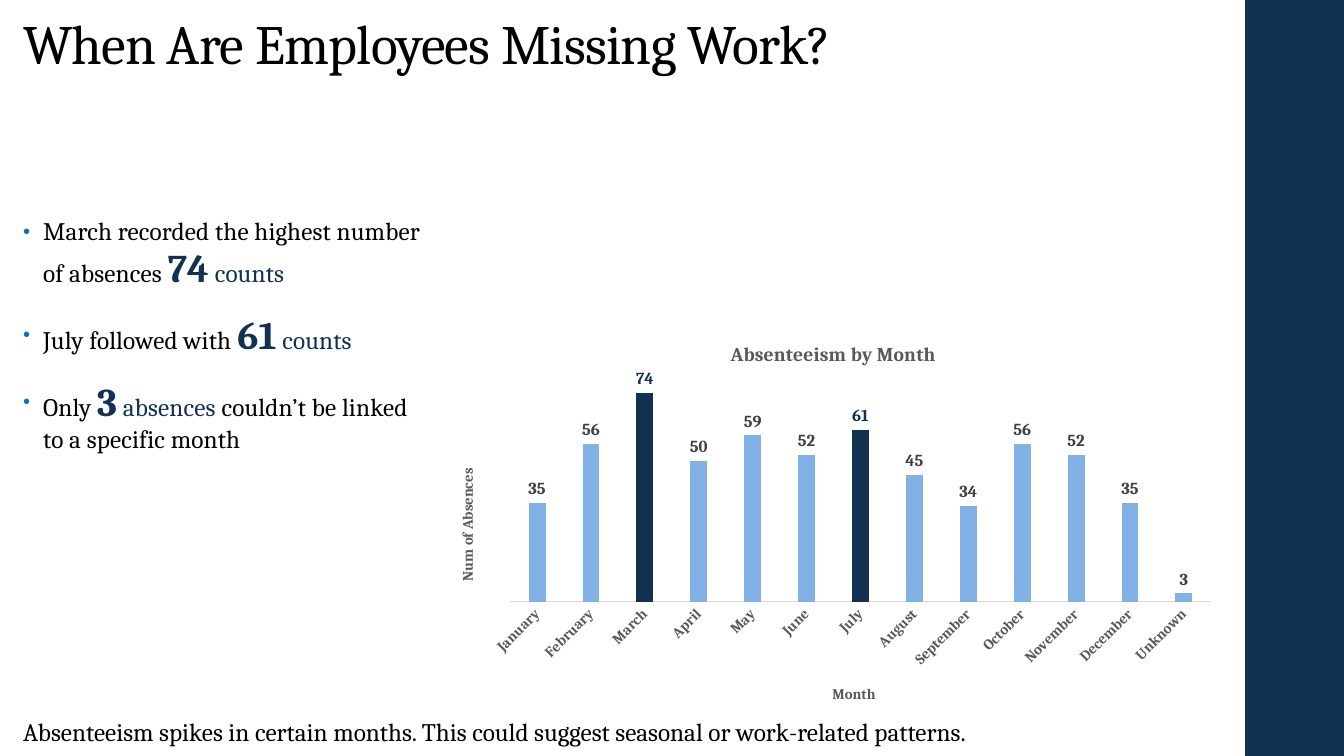
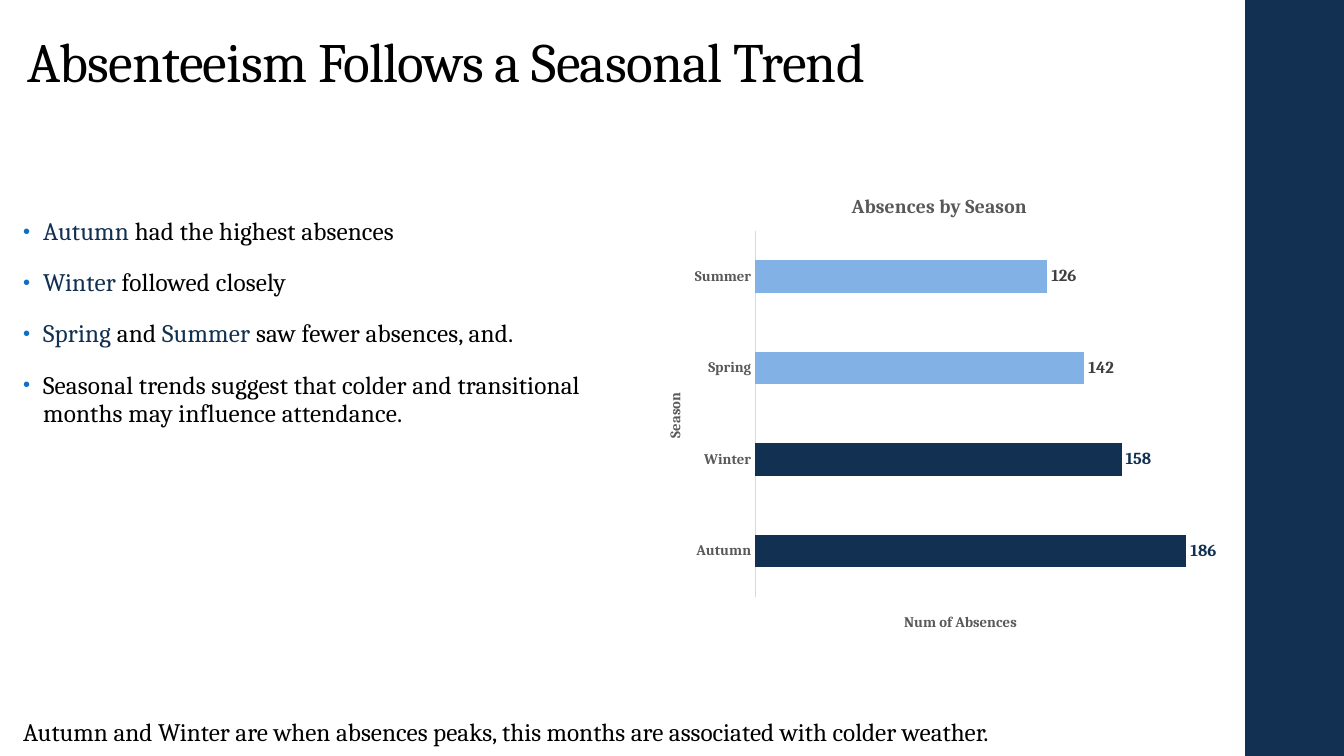
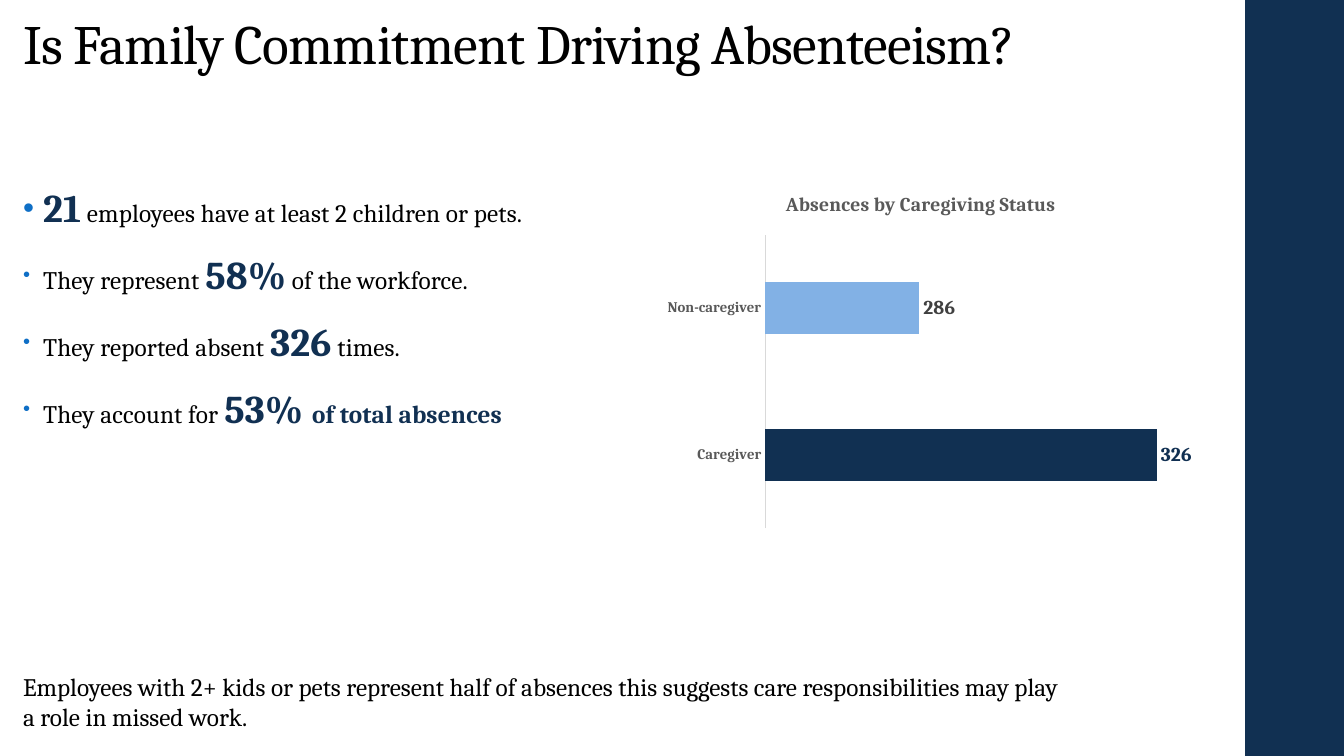
from lxml import etree
from pptx import Presentation
from pptx import util as u
from pptx.chart.data import CategoryChartData
from pptx.dml.color import RGBColor
from pptx.enum import chart as charts, shapes, text
from pptx.oxml.ns import qn

FONT = "Cambria"
NAVY, SKY, BULLET = "113052", "82B1E5", "0F6FC6"
BLACK, GRAY, DARK_GRAY, AXIS = "000000", "595959", "404040", "D9D9D9"
LEFT = 0.13
WIDTH = 11.85

# Run styles: size, colour, bold
PLAIN = (18, BLACK, False)
ACCENT = (18, NAVY, False)
STRONG = (18, NAVY, True)
NUMBER = (28, NAVY, True)


def color(value):
    return RGBColor.from_string(value)


def set_font(font, size, hex_color, bold=False):
    font.name = FONT
    font.size = u.Pt(size)
    font.bold = bold
    font.color.rgb = color(hex_color)


def add_band(slide):
    band = slide.shapes.add_shape(shapes.MSO_SHAPE.RECTANGLE, u.Inches(12.35), 0,
                                  u.Inches(0.98), u.Inches(7.5))
    band.shadow.inherit = False
    band.fill.solid()
    band.fill.fore_color.rgb = color(NAVY)
    band.line.fill.background()


def add_text_frame(slide, left, top, width, height):
    box = slide.shapes.add_textbox(*map(u.Inches, (left, top, width, height)))
    box.text_frame.word_wrap = True
    return box.text_frame


def add_run(paragraph, content, style, spacing):
    """Add a run; spacing is the letter spacing in hundredths of a point."""
    run = paragraph.add_run()
    run.text = content
    set_font(run.font, *style)
    run.font._element.set("spc", str(spacing))


def add_title(slide, content, top, height, left=LEFT):
    frame = add_text_frame(slide, left, top, WIDTH, height)
    frame.vertical_anchor = text.MSO_ANCHOR.BOTTOM
    paragraph = frame.paragraphs[0]
    paragraph.line_spacing = 0.9
    add_run(paragraph, content, (39.6, BLACK), -50)


def add_takeaway(slide, content, top, width=WIDTH, height=0.4):
    paragraph = add_text_frame(slide, LEFT, top, width, height).paragraphs[0]
    paragraph.text = content
    set_font(paragraph.font, 18, BLACK)


def set_bullet(paragraph):
    properties = paragraph._element.get_or_add_pPr()
    properties.set("marL", str(u.Inches(0.2)))
    properties.set("indent", str(-u.Inches(0.2)))
    bullet_color = etree.SubElement(properties, qn("a:buClr"))
    etree.SubElement(bullet_color, qn("a:srgbClr"), val=BULLET)
    etree.SubElement(properties, qn("a:buSzPct"), val="80000")
    etree.SubElement(properties, qn("a:buFont"), typeface="Arial")
    etree.SubElement(properties, qn("a:buChar"), char="•")


def add_bullets(slide, items, top, width):
    """Each item is a list of (text, style) runs."""
    frame = add_text_frame(slide, LEFT, top, width, 4.76)
    for index, runs in enumerate(items):
        paragraph = frame.add_paragraph() if index else frame.paragraphs[0]
        paragraph.line_spacing = 0.95
        paragraph.space_before = u.Pt(14)
        paragraph.space_after = u.Pt(2)
        set_bullet(paragraph)
        for content, style in runs:
            add_run(paragraph, content, style, 10)


def place(element, index, frame, left, top, size=None):
    """Fix a chart part at a slide position given in inches."""
    for old in element.findall(qn("c:layout")):
        element.remove(old)
    layout = etree.Element(qn("c:layout"))
    manual = etree.SubElement(layout, qn("c:manualLayout"))
    values = {"xMode": "edge", "yMode": "edge",
              "x": (left - frame[0]) / frame[2], "y": (top - frame[1]) / frame[3]}
    if size:
        values = {"layoutTarget": "inner", **values,
                  "w": size[0] / frame[2], "h": size[1] / frame[3]}
    for name, value in values.items():
        etree.SubElement(manual, qn("c:" + name), val=str(value))
    element.insert(index, layout)


def set_chart_title(title, content, size, frame, position, rotation=0):
    paragraph = title.text_frame.paragraphs[0]
    paragraph.text = content
    set_font(paragraph.font, size, GRAY, True)
    title.text_frame._txBody.bodyPr.set("rot", str(rotation * 60000))
    place(title._element, 1, frame, *position)


def style_axes(chart, scale):
    category, value = chart.category_axis, chart.value_axis
    category.has_major_gridlines = value.has_major_gridlines = False
    category.major_tick_mark = charts.XL_TICK_MARK.NONE
    category.format.line.color.rgb = color(AXIS)
    category.format.line.width = u.Pt(0.75)
    set_font(category.tick_labels.font, 10.5, GRAY, True)
    value.minimum_scale, value.maximum_scale = scale
    value.visible = False


def add_bar_chart(slide, frame, data, title, title_at, plot, scale, highlights,
                  axis_titles=(), columns=False, label_size=12):
    """plot is left, top, width, height; axis_titles holds (text, position),
    the category axis first."""
    chart_data = CategoryChartData()
    chart_data.categories = list(data)
    chart_data.add_series("Series 1", list(data.values()))
    kind = charts.XL_CHART_TYPE.COLUMN_CLUSTERED if columns else charts.XL_CHART_TYPE.BAR_CLUSTERED
    chart = slide.shapes.add_chart(kind, *map(u.Inches, frame), chart_data).chart
    set_font(chart.font, 10, BLACK)
    chart.has_legend = False
    chart.has_title = True
    set_chart_title(chart.chart_title, title, 14, frame, title_at)

    style_axes(chart, scale)
    for axis, (content, position) in zip((chart.category_axis, chart.value_axis), axis_titles):
        upright = (axis is not None) and (content == axis_titles[1 if columns else 0][0])
        axis.has_title = True
        set_chart_title(axis.axis_title, content, 10.5, frame, position, -90 if upright else 0)
    if columns:
        properties = chart.category_axis._element.find(qn("c:txPr"))
        properties.find(qn("a:bodyPr")).set("rot", str(-45 * 60000))

    bars = chart.plots[0]
    bars.vary_by_categories = False
    bars.gap_width = 219 if columns else 182
    if columns:
        bars.overlap = -27
    bars.has_data_labels = True
    series = bars.series[0]
    series.invert_if_negative = False
    series.format.fill.solid()
    series.format.fill.fore_color.rgb = color(SKY)
    labels = series.data_labels
    labels.show_value = True
    labels.position = charts.XL_LABEL_POSITION.OUTSIDE_END
    set_font(labels.font, label_size, DARK_GRAY, True)
    for index in highlights:
        point = series.points[index]
        point.format.fill.solid()
        point.format.fill.fore_color.rgb = color(NAVY)
        set_font(point.data_label.font, label_size, NAVY, True)
        point.data_label.position = charts.XL_LABEL_POSITION.OUTSIDE_END
    place(chart._chartSpace.chart.plotArea, 0, frame, plot[0], plot[1], plot[2:])


def build_months(slide):
    add_title(slide, "When Are Employees Missing Work?", 0.12, 0.69)
    add_bullets(slide, [
        [("March recorded the highest number of absences ", PLAIN), ("74", NUMBER),
         (" counts", ACCENT)],
        [("July followed with ", PLAIN), ("61", NUMBER), (" counts", ACCENT)],
        [("Only ", PLAIN), ("3", NUMBER), (" absences ", ACCENT),
         ("couldn’t be linked to a specific month", PLAIN)],
    ], 2.11, 4.25)
    add_takeaway(slide, "Absenteeism spikes in certain months. This could suggest "
                 "seasonal or work-related patterns.", 7.06)
    absences = {"January": 35, "February": 56, "March": 74, "April": 50, "May": 59,
                "June": 52, "July": 61, "August": 45, "September": 34, "October": 56,
                "November": 52, "December": 35, "Unknown": 3}
    add_bar_chart(slide, (4.28, 3.17, 7.89, 3.98), absences, "Absenteeism by Month",
                  (7.21, 3.35), (5.06, 3.73, 6.95, 2.24), (0, 80), (2, 6),
                  [("Month", (8.23, 6.76)), ("Num of Absences", (4.51, 4.62))],
                  columns=True)


def build_seasons(slide):
    add_title(slide, "Absenteeism Follows a Seasonal Trend", 0.27, 0.72, left=0.17)
    add_bullets(slide, [
        [("Autumn", ACCENT), (" had the highest absences", PLAIN)],
        [("Winter", ACCENT), (" followed closely", PLAIN)],
        [("Spring", ACCENT), (" and ", PLAIN), ("Summer", ACCENT),
         (" saw fewer absences, and.", PLAIN)],
        [("Seasonal trends suggest that colder and transitional months may "
          "influence attendance.", PLAIN)],
    ], 2.11, 6.08)
    add_takeaway(slide, "Autumn and Winter are when absences peaks, this months are "
                 "associated with colder weather.", 7.06)
    absences = {"Autumn": 186, "Winter": 158, "Spring": 142, "Summer": 126}
    add_bar_chart(slide, (6.34, 1.69, 5.89, 4.76), absences, "Absences by Season",
                  (8.41, 1.88), (7.49, 2.29, 4.6, 3.63), (0, 200), (0, 1),
                  [("Season", (6.57, 3.87)), ("Num of Absences", (8.94, 6.05))])


def build_caregivers(slide):
    add_title(slide, "Is Family Commitment Driving Absenteeism?", 0.18, 0.63)
    add_takeaway(slide, "Employees with 2+ kids or pets represent half of absences this "
                 "suggests care responsibilities may play a role in missed work.",
                 6.61, 10.48, 0.71)
    add_bullets(slide, [
        [("21", NUMBER), (" employees have at least 2 children or pets.", PLAIN)],
        [("They represent ", PLAIN), ("58%", NUMBER), (" of the workforce.", PLAIN)],
        [("They reported absent ", PLAIN), ("326", NUMBER), (" times.", PLAIN)],
        [("They account for ", PLAIN), ("53% ", NUMBER), ("of total absences", STRONG)],
    ], 1.8, 6.08)
    add_bar_chart(slide, (6.21, 1.69, 5.77, 3.73), {"Caregiver": 326, "Non-caregiver": 286},
                  "Absences by Caregiving Status", (7.76, 1.86),
                  (7.59, 2.33, 4.12, 2.91), (260, 330), (0,), label_size=14)


def main():
    presentation = Presentation()
    presentation.slide_width = u.Inches(13.33)
    presentation.slide_height = u.Inches(7.5)
    for build in (build_months, build_seasons, build_caregivers):
        slide = presentation.slides.add_slide(presentation.slide_layouts[6])
        add_band(slide)
        build(slide)
    presentation.save("out.pptx")


if __name__ == "__main__":
    main()
